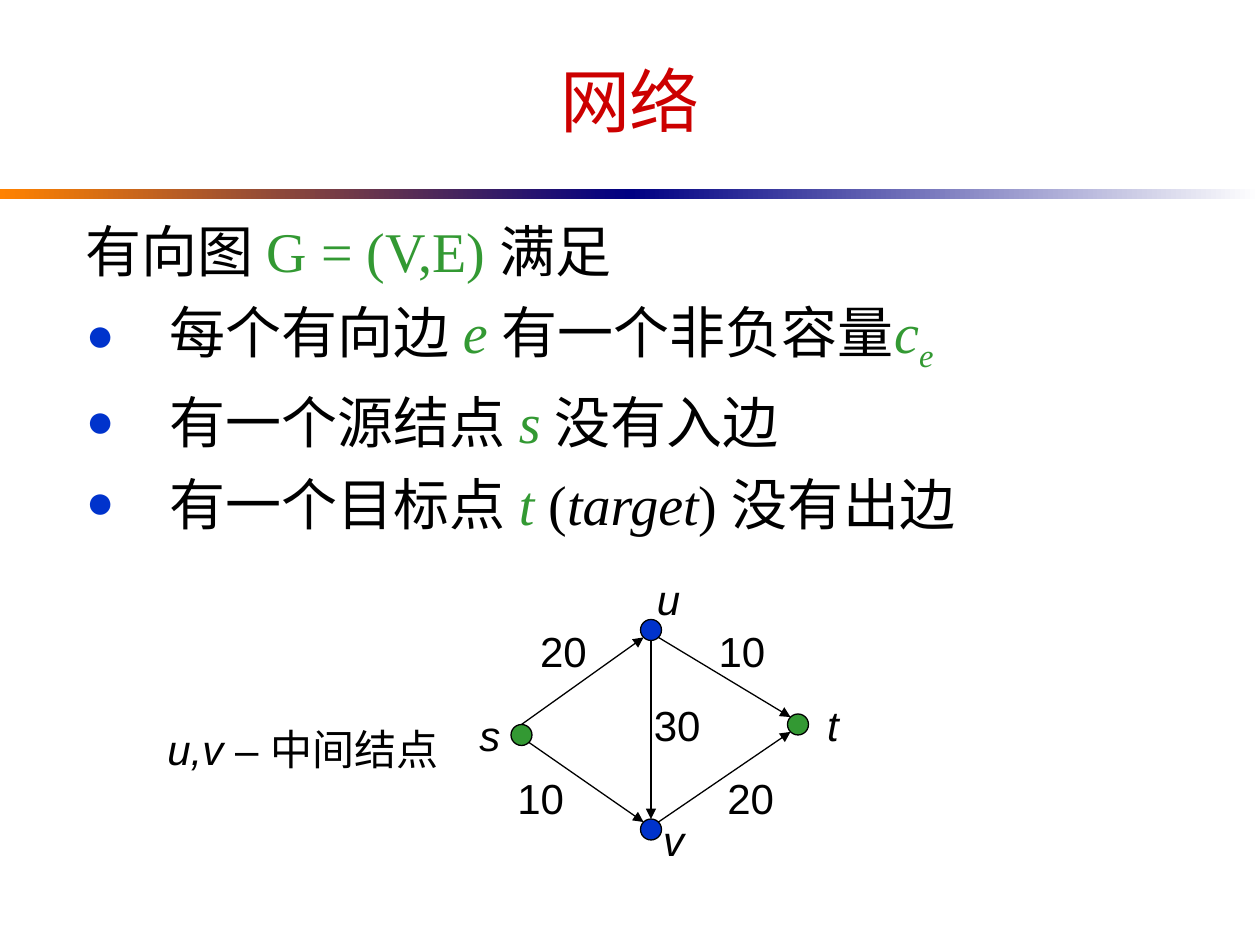
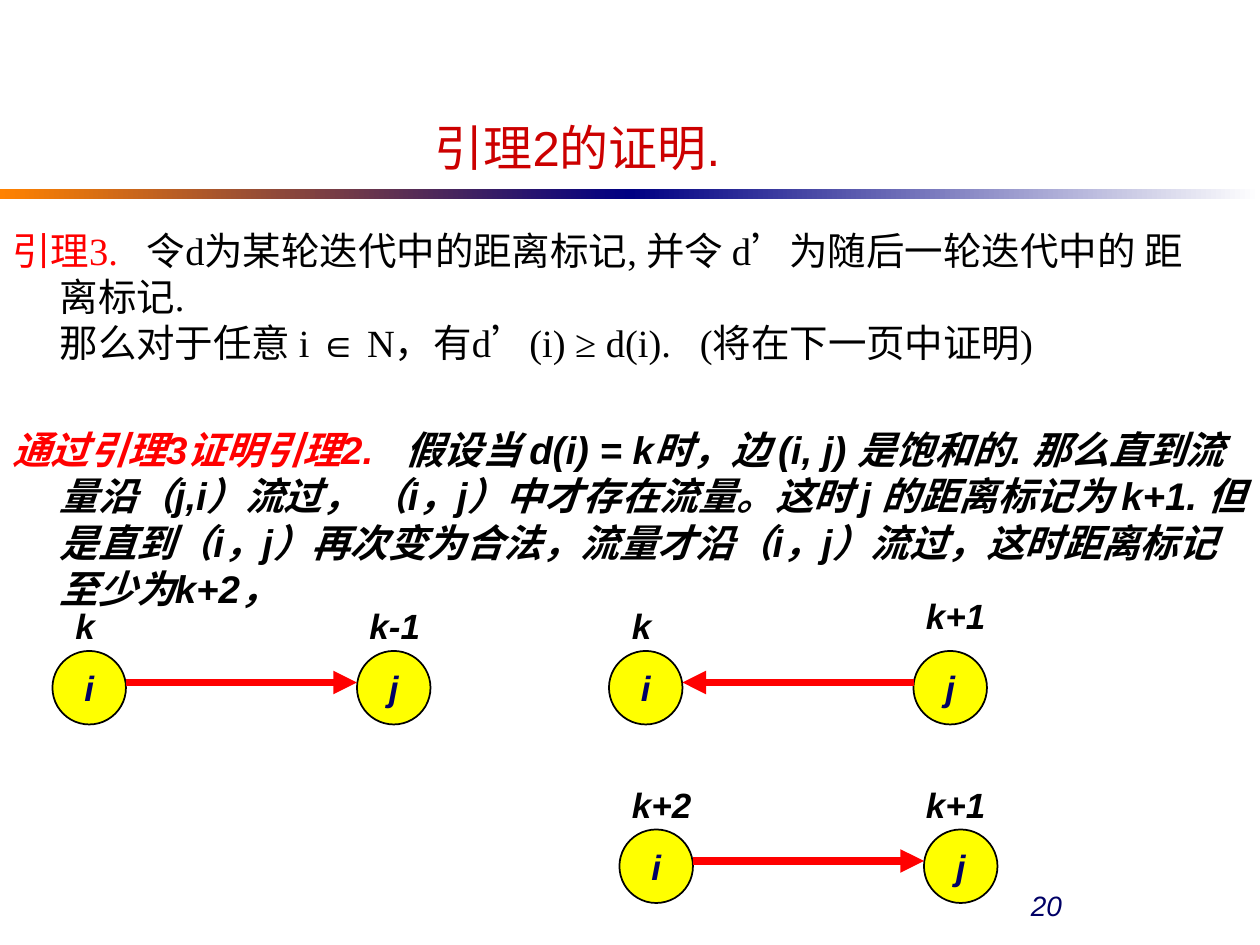
from math import sqrt

from lxml.etree import SubElement
from pptx import Presentation
from pptx.dml.color import RGBColor
from pptx.enum.shapes import MSO_CONNECTOR as LINE, MSO_SHAPE as SHAPE
from pptx.enum.text import MSO_ANCHOR as ANCHOR, MSO_AUTO_SIZE as AUTO_SIZE, PP_ALIGN as ALIGN
from pptx.oxml.ns import qn
from pptx.util import Pt

# Colours
BLACK = RGBColor(0x00, 0x00, 0x00)
WHITE = RGBColor(0xFF, 0xFF, 0xFF)
ORANGE = RGBColor(0xFF, 0x82, 0x00)
NAVY = RGBColor(0x00, 0x00, 0x82)
INK = RGBColor(0x00, 0x00, 0x66)
TITLE_RED = RGBColor(0xCC, 0x00, 0x00)
RED = RGBColor(0xFF, 0x00, 0x00)
GREEN = RGBColor(0x33, 0x99, 0x33)
BLUE = RGBColor(0x00, 0x33, 0xCC)
YELLOW = RGBColor(0xFF, 0xFF, 0x00)

# Text styles
SANS, SERIF = "Arial", "Times New Roman"
BODY = {"name": SERIF, "size": Pt(32), "color": BLACK}
LEMMA = {"name": SERIF, "size": Pt(22), "color": BLACK}
PROOF = {"name": SANS, "size": Pt(22), "color": BLACK, "bold": True, "italic": True}
LABEL = {"name": SANS, "size": Pt(24), "color": BLACK}
PAIR_LABEL = {**PROOF, "size": Pt(20)}
PAIR_NODE = {**PAIR_LABEL, "color": INK}
PAGE_NUMBER = {"name": SANS, "size": Pt(16), "color": INK, "italic": True}

PLAIN = {}
ITALIC = {"italic": True}
SYMBOL = {"color": GREEN}
VARIABLE = {"color": GREEN, "italic": True}
SUBSCRIPT = {**VARIABLE, "baseline": -25000}
HEADING = {"color": RED}

SLIDE_WIDTH, SLIDE_HEIGHT = 720, 540

# Slide 1 content: paragraphs of (text, change of style)
NETWORK_INTRO = [("有向图 ", PLAIN), ("G = (V,E) ", SYMBOL), ("满足", PLAIN)]
NETWORK_RULES = [
    [("每个有向边 ", PLAIN), ("e ", VARIABLE), ("有一个非负容量", PLAIN),
     ("c", VARIABLE), ("e", SUBSCRIPT)],
    [("有一个源结点 ", PLAIN), ("s ", VARIABLE), ("没有入边", PLAIN)],
    [("有一个目标点 ", PLAIN), ("t", VARIABLE), (" (", PLAIN),
     ("target", ITALIC), (") 没有出边", PLAIN)],
]

# Network: name -> centre, colour, offset of the label
NODES = {
    "s": ((6, 66), GREEN, (-18, 0)),
    "u": ((80, 6), BLUE, (10, -18)),
    "t": ((164, 60), GREEN, (20, 0)),
    "v": ((80, 120), BLUE, (13, 6)),
}
# Edges: from node and side, to node and side, capacity and its centre
EDGES = [
    ("s", "N", "u", "SW", "20", (30, 18)),
    ("u", "SE", "t", "NW", "10", (132, 18)),
    ("u", "S", "v", "N", "30", (95, 60)),
    ("s", "SE", "v", "NW", "10", (17, 102)),
    ("v", "NE", "t", "SW", "20", (137, 102)),
]
NODE_RADIUS = 6

# Slide 2 content
LEMMA_TEXT = [
    ("引理3.   ", HEADING),
    ("令d为某轮迭代中的距离标记, 并令 d’为随后一轮迭代中的 距离标记.  \n"
     "那么对于任意 i ∈ N，有d’(i) ≥ d(i).   (将在下一页中证明)", PLAIN),
]
PROOF_TEXT = [
    ("通过引理3证明引理2.   ", HEADING),
    ("假设当 d(i) = k时，边 (i, j) 是饱和的. 那么直到流量沿（j,i）流过， "
     "（i，j）中才存在流量。这时 j 的距离标记为 k+1. 但是直到（i，j）再次变为合法，"
     "流量才沿（i，j）流过，这时距离标记至少为k+2，", PLAIN),
]
# Node pairs: corner, forward arrow, labels of i and j with their offsets
PAIRS = [
    ((30, 372), True, [("k", (6, -30)), ("k-1", (174, -30))]),
    ((348, 372), False, [("k", (6, -30)), ("k+1", (174, -36))]),
    ((354, 474), True, [("k+2", (0, -30)), ("k+1", (168, -30))]),
]
PAIR_STEP, PAIR_DIAMETER, PAIR_ARROW_TOP = 174, 42, 18


def points(*lengths):
    return [Pt(length) for length in lengths]


def style_span(span, style):
    for key, value in style.items():
        if key == "color":
            span.font.color.rgb = value
        elif key == "baseline":
            span._r.get_or_add_rPr().set("baseline", str(value))
        else:
            setattr(span.font, key, value)


def write_para(para, spans, style, **layout):
    for key, value in layout.items():
        setattr(para, key, value)
    for text, change in spans:
        for number, line in enumerate(text.split("\n")):
            if number:
                para.add_line_break()
            span = para.add_run()
            span.text = line
            style_span(span, {**style, **change})


def hang(para, indent):
    properties = para._p.get_or_add_pPr()
    properties.set("marL", str(Pt(indent)))
    properties.set("indent", str(-Pt(indent)))
    properties.set("hangingPunct", "0")
    return properties


def add_bullet(properties):
    color = SubElement(properties, qn("a:buClr"))
    SubElement(color, qn("a:srgbClr"), val=str(BLUE))
    SubElement(properties, qn("a:buSzPct"), val="85000")
    SubElement(properties, qn("a:buFont"), typeface=SERIF)
    SubElement(properties, qn("a:buChar"), char="●")


def add_text(shapes, box, spans, style, indent=0, anchor=ANCHOR.TOP, **layout):
    frame = shapes.add_textbox(*points(*box)).text_frame
    frame.word_wrap, frame.vertical_anchor = True, anchor
    para = frame.paragraphs[0]
    write_para(para, spans, style, **layout)
    if indent:
        hang(para, indent)
    return frame


def add_label(shapes, center, spans, width=48):
    x, y = center
    frame = add_text(shapes, (x - width / 2, y - 18, width, 36), spans, LABEL,
                     anchor=ANCHOR.MIDDLE, alignment=ALIGN.CENTER)
    frame.word_wrap, frame.auto_size = False, AUTO_SIZE.SHAPE_TO_FIT_TEXT


def add_circle(shapes, left, top, diameter, color, line_width):
    circle = shapes.add_shape(SHAPE.OVAL, *points(left, top, diameter, diameter))
    circle.shadow.inherit = False
    circle.fill.solid()
    circle.fill.fore_color.rgb = color
    circle.line.color.rgb = BLACK
    circle.line.width = Pt(line_width)
    return circle


def add_arrow(shapes, start, end, color, width):
    arrow = shapes.add_connector(LINE.STRAIGHT, *points(*start, *end))
    arrow.line.color.rgb = color
    arrow.line.width = Pt(width)
    SubElement(arrow.line._get_or_add_ln(), qn("a:tailEnd"), type="triangle")
    SubElement(arrow._element.spPr, qn("a:effectLst"))


# Shared: the two-part gradient band and the title
def add_band(page):
    half = SLIDE_WIDTH / 2
    for left, colors in ((0, (ORANGE, NAVY)), (half, (NAVY, WHITE))):
        band = page.shapes.add_shape(SHAPE.RECTANGLE, *points(left, 108, half, 6))
        band.shadow.inherit = False
        band.line.fill.background()
        band.fill.gradient()
        band.fill.gradient_angle = 0
        for stop, color in zip(band.fill.gradient_stops, colors):
            stop.color.rgb = color


def start_page(deck, title, title_box, title_size):
    page = deck.slides.add_slide(deck.slide_layouts[6])
    add_band(page)
    style = {"name": SANS, "size": Pt(title_size), "color": TITLE_RED}
    add_text(page.shapes, title_box, [(title, PLAIN)], style,
             anchor=ANCHOR.MIDDLE, alignment=ALIGN.CENTER)
    return page


# Slide 1: the definition with its bullets
def add_definition(page, box):
    spacing = {"space_before": Pt(8)}
    frame = add_text(page.shapes, box, NETWORK_INTRO, BODY, indent=48, **spacing)
    for rule in NETWORK_RULES:
        para = frame.add_paragraph()
        write_para(para, rule, BODY, **spacing)
        add_bullet(hang(para, 48))


# Slide 1: the network of nodes, edges and capacities
def node_side(center, side):
    across = ("E" in side) - ("W" in side)
    down = ("S" in side) - ("N" in side)
    reach = NODE_RADIUS / sqrt(len(side))
    return center[0] + across * reach, center[1] + down * reach


def add_network(page, left, top):
    shapes = page.shapes
    centers = {name: (left + x, top + y) for name, ((x, y), _, _) in NODES.items()}
    for name, (_, color, (dx, dy)) in NODES.items():
        x, y = centers[name]
        add_circle(shapes, x - NODE_RADIUS, y - NODE_RADIUS, 2 * NODE_RADIUS, color, 0.75)
        add_label(shapes, (x + dx, y + dy), [(name, ITALIC)])
    for source, source_side, target, target_side, capacity, (x, y) in EDGES:
        add_arrow(shapes, node_side(centers[source], source_side),
                  node_side(centers[target], target_side), BLACK, 0.75)
        add_label(shapes, (left + x, top + y), [(capacity, PLAIN)])


# Slide 2: nodes i and j with an arrow between them
def add_pair(page, corner, forward, labels):
    shapes = page.shapes.add_group_shape().shapes
    left, top = corner
    for name, x in (("i", left), ("j", left + PAIR_STEP)):
        frame = add_circle(shapes, x, top, PAIR_DIAMETER, YELLOW, 1).text_frame
        frame.word_wrap, frame.vertical_anchor = False, ANCHOR.MIDDLE
        write_para(frame.paragraphs[0], [(name, PLAIN)], PAIR_NODE, alignment=ALIGN.CENTER)
    ends = [(left + x, top + PAIR_ARROW_TOP) for x in (PAIR_DIAMETER, PAIR_STEP)]
    start, end = ends if forward else reversed(ends)
    add_arrow(shapes, start, end, RED, 4.5)
    for text, (dx, dy) in labels:
        add_text(shapes, (left + dx, top + dy, 60, 36), [(text, PLAIN)], PAIR_LABEL,
                 indent=27, space_before=Pt(5))


def build_network_page(deck):
    page = start_page(deck, "网络", (30, 12, 660, 90), 40)
    add_definition(page, (42, 120, 678, 282))
    add_network(page, 292, 354)
    add_label(page.shapes, (173, 428), [("u,v", ITALIC), (" – 中间结点", PLAIN)], width=180)


def build_proof_page(deck):
    page = start_page(deck, "引理2的证明.", (24, 48, 612, 72), 28)
    for box, spans, style in (((0, 126, 702, 114), LEMMA_TEXT, LEMMA),
                              ((0, 240, 720, 156), PROOF_TEXT, PROOF)):
        add_text(page.shapes, box, spans, style, indent=27, space_before=Pt(5.5))
    for pair in PAIRS:
        add_pair(page, *pair)
    add_text(page.shapes, (582, 504, 138, 36), [("20", PLAIN)], PAGE_NUMBER)


def main():
    deck = Presentation()
    deck.slide_width, deck.slide_height = points(SLIDE_WIDTH, SLIDE_HEIGHT)
    build_network_page(deck)
    build_proof_page(deck)
    deck.save("out.pptx")


if __name__ == "__main__":
    main()
